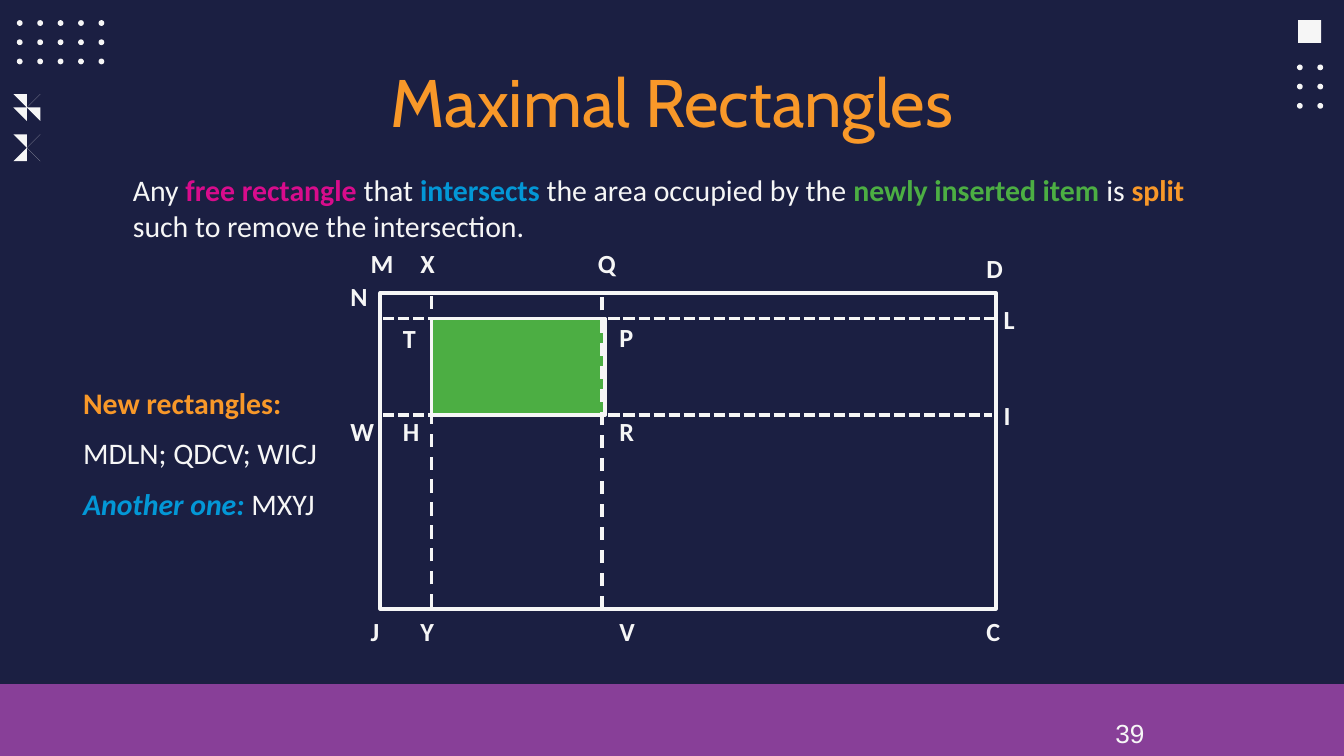
from itertools import product
from typing import NamedTuple

from lxml import etree
from pptx import Presentation
from pptx import util as u
from pptx.dml.color import RGBColor
from pptx.enum import dml, shapes, text
from pptx.oxml.ns import qn

# The slide is a grid of square cells, a hundredth of its width each.
COLUMNS, ROWS = 100, 56.25
CELL = u.Inches(0.1)

NAVY, WHITE, PURPLE = "1B1F42", "F6F6F6", "883F98"
ORANGE, PINK, BLUE, GREEN = "F89829", "D80C8C", "0397D6", "4CAE43"


class Area(NamedTuple):
    column: float
    row: float
    columns: float
    rows: float


class Span(NamedTuple):
    words: str
    color: str = WHITE
    bold: bool = False
    italic: bool = False


class Style(NamedTuple):
    size: float
    font: str = "Calibri"
    align: text.PP_ALIGN = text.PP_ALIGN.LEFT
    space_after: float = 0
    inset_rows: float = 0.5
    grow: bool = True


class Label(NamedTuple):
    letter: str
    column: float
    row: float


class Guide(NamedTuple):
    start: tuple[float, float]
    end: tuple[float, float]
    width: float
    dash: dml.MSO_LINE


class DotGrid(NamedTuple):
    column: float
    row: float
    across: int
    down: int


BODY = Style(16, align=text.PP_ALIGN.JUSTIFY, space_after=8)
LABEL = Style(14)
TITLE = Style(36, "Cabin", text.PP_ALIGN.CENTER, inset_rows=1, grow=False)
PAGE_NUMBER = Style(14, "Arial")

BIN = Area(28.3, 21.8, 45.8, 23.5)
ITEM = Area(32.1, 23.7, 12.9, 7.2)
ITEM_BOTTOM = ITEM.row + ITEM.rows

DOT_GRIDS = [DotGrid(1.25, 1.5, 5, 3), DotGrid(96.5, 4.8, 2, 3)]
DOT_PITCH = (1.52, 1.43)
DOT_SIZE = 0.43
CROSS = [(0.3, 0), (0.85, 0.55), (1.4, 0), (1.7, 0.3), (1.15, 0.85), (1.7, 1.4),
         (1.4, 1.7), (0.85, 1.15), (0.3, 1.7), (0, 1.4), (0.55, 0.85), (0, 0.3)]

ROW_GUIDES = [
    Guide((28.5, ITEM.row), (74.1, ITEM.row), 2, dml.MSO_LINE.SQUARE_DOT),
    Guide((28.5, ITEM_BOTTOM), (73.8, ITEM_BOTTOM), 2, dml.MSO_LINE.SQUARE_DOT),
]
COLUMN_GUIDES = [
    Guide((44.8, 45.3), (44.8, 21.8), 1.75, dml.MSO_LINE.DASH),
    Guide((32.1, 45.2), (32.1, 21.7), 1.75, dml.MSO_LINE.DASH),
]

LABELS = [
    Label("M", 26.6, 17.9), Label("X", 30.3, 17.9), Label("Q", 43.5, 17.9),
    Label("D", 72.4, 18.3), Label("N", 25.1, 20.4), Label("L", 73.7, 22.1),
    Label("T", 29, 23.5), Label("P", 45.1, 23.4), Label("I", 73.7, 29.2),
    Label("W", 25.1, 30.4), Label("H", 29, 30.4), Label("R", 45.1, 30.4),
    Label("J", 26.6, 45.3), Label("Y", 30.3, 45.3), Label("V", 45.1, 45.3),
    Label("C", 72.4, 45.3),
]
LABEL_SIZE = 3.4

RULE = [[
    Span("Any "), Span("free rectangle ", PINK, True), Span("that "),
    Span("intersects", BLUE, True), Span(" the area occupied by the "),
    Span("newly inserted item ", GREEN, True), Span("is "),
    Span("split", ORANGE, True), Span(" such to remove the intersection."),
]]
RESULT = [
    [Span("New rectangles:", ORANGE, True)],
    [Span("MDLN; QDCV; WICJ")],
    [Span("Another one: ", BLUE, True, True), Span("MXYJ")],
]


def cells(count: float) -> u.Emu:
    return u.Emu(round(count * CELL))


def paint(color_format, color: str) -> None:
    color_format.rgb = RGBColor.from_string(color)


def finish(shape, fill: str | None, line_width: float) -> None:
    """Set fill and outline; no fill colour or a zero width leaves that part out."""
    shape.shadow.inherit = False
    if fill:
        shape.fill.solid()
        paint(shape.fill.fore_color, fill)
    else:
        shape.fill.background()
    if line_width:
        paint(shape.line.color, WHITE)
        shape.line.width = u.Pt(line_width)
    else:
        shape.line.fill.background()


def draw_shape(page, area: Area, fill: str | None, line_width: float = 0,
               kind: shapes.MSO_SHAPE = shapes.MSO_SHAPE.RECTANGLE) -> None:
    finish(page.shapes.add_shape(kind, *map(cells, area)), fill, line_width)


def draw_cross(page, column: float, row: float) -> None:
    corners = [(column + x, row + y) for x, y in CROSS]
    builder = page.shapes.build_freeform(*corners[0], scale=CELL)
    builder.add_line_segments(corners[1:], close=True)
    finish(builder.convert_to_shape(), WHITE, 0)


def draw_dots(page, grid: DotGrid) -> None:
    for down, across in product(range(grid.down), range(grid.across)):
        draw_shape(page, Area(grid.column + across * DOT_PITCH[0],
                              grid.row + down * DOT_PITCH[1], DOT_SIZE, DOT_SIZE),
                   WHITE, kind=shapes.MSO_SHAPE.OVAL)


def draw_guide(page, guide: Guide) -> None:
    line = page.shapes.add_connector(
        shapes.MSO_CONNECTOR.STRAIGHT, *map(cells, guide.start + guide.end))
    paint(line.line.color, WHITE)
    line.line.width = u.Pt(guide.width)
    line.line.dash_style = guide.dash
    etree.SubElement(line._element.spPr, qn("a:effectLst"))


def write(page, area: Area, paragraphs: list[list[Span]], style: Style) -> None:
    frame = page.shapes.add_textbox(*map(cells, area)).text_frame
    frame.word_wrap = True
    frame.auto_size = (text.MSO_AUTO_SIZE.SHAPE_TO_FIT_TEXT if style.grow
                       else text.MSO_AUTO_SIZE.NONE)
    frame.margin_top = frame.margin_bottom = cells(style.inset_rows)
    for index, spans in enumerate(paragraphs):
        para = frame.add_paragraph() if index else frame.paragraphs[0]
        para.alignment = style.align
        para.space_after = u.Pt(style.space_after)
        for span in spans:
            run = para.add_run()
            run.text = span.words
            run.font.name, run.font.size = style.font, u.Pt(style.size)
            run.font.bold, run.font.italic = span.bold, span.italic
            paint(run.font.color, span.color)


def main() -> None:
    deck = Presentation()
    deck.slide_width, deck.slide_height = cells(COLUMNS), cells(ROWS)
    page = deck.slides.add_slide(deck.slide_layouts[6])
    page.background.fill.solid()
    paint(page.background.fill.fore_color, NAVY)

    draw_shape(page, Area(96.6, 1.5, 1.7, 1.7), WHITE)
    for row in (7, 10.2):
        draw_cross(page, 1.2, row)
    for grid in DOT_GRIDS:
        draw_dots(page, grid)
    draw_shape(page, Area(0, 50.9, COLUMNS, ROWS - 50.9), PURPLE)
    write(page, Area(82, 52.9, 17.2, 3.4), [[Span("39")]], PAGE_NUMBER)

    write(page, Area(7.8, 3.5, 84.4, 6.3), [[Span("Maximal Rectangles", ORANGE)]], TITLE)
    write(page, Area(8.9, 12.3, 80.2, 6.4), RULE, BODY)
    write(page, Area(5.2, 28.1, 22.1, 11.3), RESULT, BODY)

    draw_shape(page, BIN, None, 2)
    for guide in ROW_GUIDES:
        draw_guide(page, guide)
    draw_shape(page, ITEM, GREEN, 2)
    for guide in COLUMN_GUIDES:
        draw_guide(page, guide)
    for label in LABELS:
        write(page, Area(label.column, label.row, LABEL_SIZE, LABEL_SIZE),
              [[Span(label.letter, bold=True)]], LABEL)
    deck.save("out.pptx")


if __name__ == "__main__":
    main()
